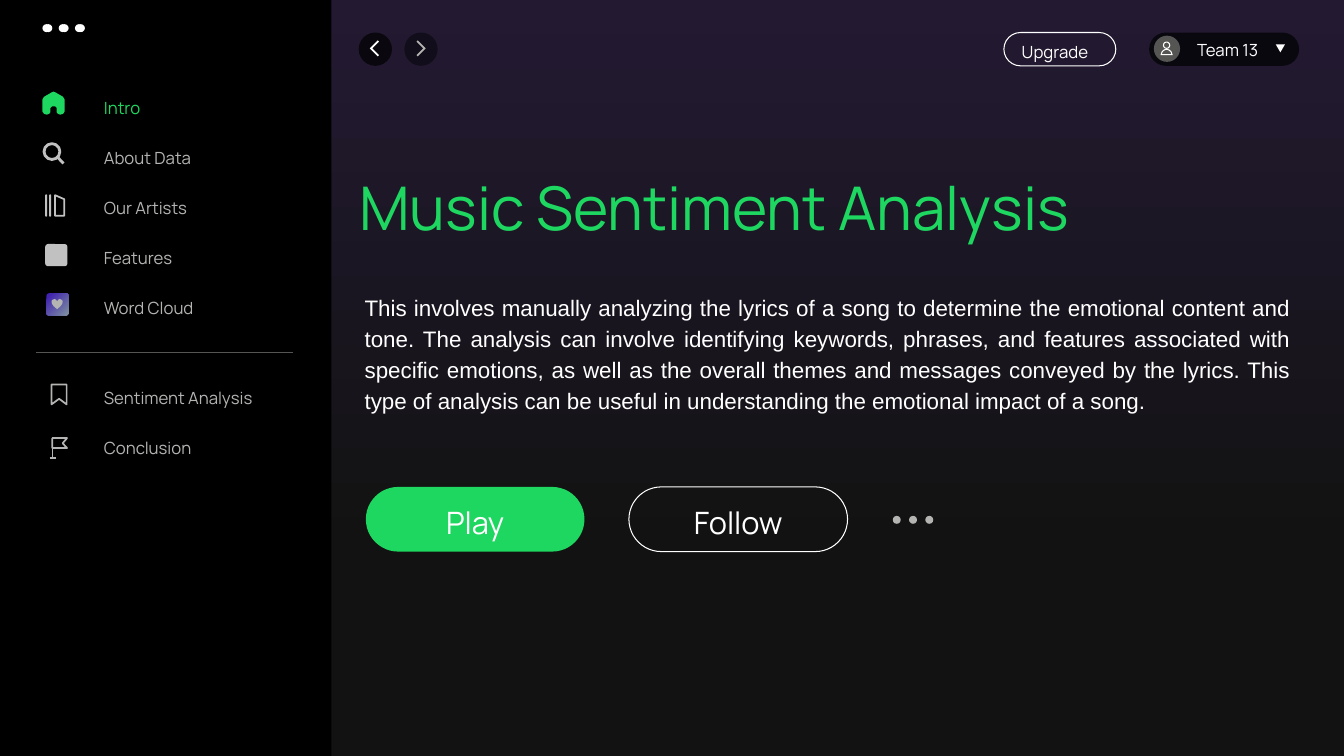
import dataclasses

import lxml.etree
import pptx
import pptx.dml.color
import pptx.enum.shapes
import pptx.enum.text
import pptx.oxml.ns
import pptx.util

Cm = pptx.util.Cm
SHAPE = pptx.enum.shapes.MSO_SHAPE
ALIGN = pptx.enum.text.PP_ALIGN


@dataclasses.dataclass(frozen=True)
class Theme:
    heading_font: str = "Manrope"
    body_font: str = "Arial"
    label_size: int = 12
    body_size: int = 16
    button_size: int = 22
    title_size: int = 43
    hairline: float = 0.75
    icon_line: float = 1.25
    lens_line: float = 2
    white: str = "FFFFFF"
    black: str = "000000"
    green: str = "1ED760"
    muted: str = "B4B5B2"
    icon: str = "C1C1C1"
    grey: str = "555554"
    back_button: str = "0A070E"
    next_button: str = "120D1A"
    team_pill: str = "0A080F"
    backdrop: tuple = ((0, "231A32"), (0.73, "121212"))
    cover: tuple = ((0.11, "4224B0"), (1, "7F93A0"))


def rgb(value):
    return pptx.dml.color.RGBColor.from_string(value)


def set_gradient(fill, stops, angle):
    fill.gradient()
    fill.gradient_angle = angle
    for stop, (position, color) in zip(fill.gradient_stops, stops):
        stop.position = position
        stop.color.rgb = rgb(color)


def write_text(tf, text, *, font, size, color, align=ALIGN.LEFT, spacing=None):
    p = tf.paragraphs[0]
    p.alignment = align
    if spacing:
        p.line_spacing = spacing
    r = p.add_run()
    r.text = text
    r.font.name = font
    r.font.size = pptx.util.Pt(size)
    r.font.color.rgb = rgb(color)


class Painter:
    def __init__(self, s, theme):
        self.s = s
        self.theme = theme

    def paint(self, sp, fill, line, width):
        sp.shadow.inherit = False
        if fill:
            sp.fill.solid()
            sp.fill.fore_color.rgb = rgb(fill)
        else:
            sp.fill.background()
        if line:
            sp.line.color.rgb = rgb(line)
            sp.line.width = pptx.util.Pt(width or self.theme.hairline)
        else:
            sp.line.fill.background()
        return sp

    def shape(self, kind, x, y, w, h, fill=None, line=None, width=None, adj=None):
        sp = self.s.shapes.add_shape(kind, Cm(x), Cm(y), Cm(w), Cm(h))
        if adj is not None:
            sp.adjustments[0] = adj
        return self.paint(sp, fill, line, width)

    def circle(self, x, y, size, **style):
        return self.shape(SHAPE.OVAL, x, y, size, size, **style)

    def pill(self, x, y, w, h, **style):
        return self.shape(SHAPE.ROUNDED_RECTANGLE, x, y, w, h, adj=0.5, **style)

    def tile(self, x, y, fill):
        return self.shape(SHAPE.ROUNDED_RECTANGLE, x, y, 0.56, 0.56, fill=fill, adj=0.13)

    def outline(self, x, y, points, fill=None, line=None, width=None):
        fb = self.s.shapes.build_freeform(*points[0], scale=Cm(1) / 100)
        fb.add_line_segments(points[1:], close=True)
        return self.paint(fb.convert_to_shape(Cm(x), Cm(y)), fill, line, width)

    def line(self, x1, y1, x2, y2, color, width):
        c = self.s.shapes.add_connector(
            pptx.enum.shapes.MSO_CONNECTOR.STRAIGHT, Cm(x1), Cm(y1), Cm(x2), Cm(y2))
        c.line.color.rgb = rgb(color)
        c.line.width = pptx.util.Pt(width)
        lxml.etree.SubElement(c._element.spPr, pptx.oxml.ns.qn("a:effectLst"))

    def text(self, text, x, y, w, h, **style):
        tf = self.s.shapes.add_textbox(Cm(x), Cm(y), Cm(w), Cm(h)).text_frame
        tf.word_wrap = True
        tf.auto_size = pptx.enum.text.MSO_AUTO_SIZE.SHAPE_TO_FIT_TEXT
        write_text(tf, text, **{"font": self.theme.heading_font, **style})

    def label(self, text, x, y, w, color):
        self.text(text, x, y, w, 0.76, size=self.theme.label_size, color=color)

    def dots(self, x, y, color):
        for i in range(3):
            self.circle(x + 0.41 * i, y, 0.2, fill=color)


def draw_sidebar(d):
    t = d.theme
    d.shape(SHAPE.RECTANGLE, 0, 0, 8.35, 19.05, fill=t.black)
    for x in (1.12, 1.07):
        d.dots(x, 0.61, t.white)
    groups = (
        (2.34, (("Intro", 2.54), ("About Data", 3.61), ("Our Artists", 2.97),
                ("Features", 2.74), ("Word Cloud", 5.97))),
        (9.65, (("Sentiment Analysis", 4.75), ("Conclusion", 3.61))),
    )
    for top, entries in groups:
        for i, (name, w) in enumerate(entries):
            color = t.green if name == "Intro" else t.muted
            d.label(name, 2.37, top + 1.26 * i, w, color)
    d.line(0.91, 8.89, 7.39, 8.89, t.grey, t.hairline)


def draw_sidebar_icons(d):
    t = d.theme
    half_house = [(28, 0), (33, 2), (52, 13), (56, 20), (56, 50), (52, 56), (45, 58),
                  (39, 56), (36, 52), (36, 41), (32, 37)]
    d.outline(1.07, 2.31, half_house + [(56 - x, y) for x, y in half_house[:0:-1]], fill=t.green)
    d.circle(1.11, 3.62, 0.4, line=t.icon, width=t.lens_line)
    d.line(1.46, 3.97, 1.6, 4.12, t.icon, t.lens_line)
    for x in (1.14, 1.24):
        d.pill(x, 4.9, 0.05, 0.56, fill=t.icon)
    d.outline(1.39, 4.92, [(0, 0), (23, 10), (23, 52), (0, 52)], line=t.icon, width=t.icon_line)
    d.tile(1.14, 6.15, t.icon)
    cover = d.tile(1.17, 7.39, t.icon)
    set_gradient(cover.fill, t.cover, 315)
    d.shape(SHAPE.HEART, 1.3, 7.53, 0.28, 0.26, fill=t.muted)
    bookmark = [(0, 0), (38, 0), (38, 50), (19, 36), (0, 50)]
    d.outline(1.3, 9.69, bookmark, line=t.muted, width=t.icon_line)
    flag = [(0, 0), (37, 0), (26, 13), (37, 25), (0, 25)]
    d.outline(1.32, 11.04, flag, line=t.muted, width=t.icon_line)
    d.line(1.32, 11.02, 1.32, 11.54, t.muted, t.icon_line)
    d.line(1.25, 11.54, 1.4, 11.54, t.muted, t.icon_line)


def draw_top_bar(d):
    t = d.theme
    back = [(20, 40), (0, 20), (20, 0), (23, 3), (6, 20), (23, 37)]
    forward = [(23 - x, y) for x, y in back]
    for x, chevron_x, chevron, fill, color in (
            (9.04, 9.32, back, t.back_button, t.white),
            (10.19, 10.5, forward, t.next_button, t.muted)):
        d.circle(x, 0.82, 0.84, fill=fill)
        d.outline(chevron_x, 1.02, chevron, fill=color)
    d.pill(25.3, 0.82, 2.82, 0.84, line=t.white)
    d.label("Upgrade", 25.5, 0.92, 2.39, t.white)
    d.pill(28.96, 0.82, 3.78, 0.84, fill=t.team_pill)
    d.label("Team 13", 29.92, 0.87, 2.52, t.white)
    d.circle(29.08, 0.9, 0.66, fill=t.grey)
    shoulders = [(0, 14), (3, 6), (8, 2), (14, 0), (20, 2), (25, 6), (28, 14)]
    d.outline(29.26, 1.24, shoulders, line=t.white, width=t.hairline)
    d.circle(29.32, 1.06, 0.16, fill=t.grey, line=t.white)
    arrow = d.shape(SHAPE.ISOSCELES_TRIANGLE, 32.18, 1.07, 0.23, 0.2, fill=t.white)
    arrow.rotation = 60


def draw_main(d):
    t = d.theme
    d.text("Music Sentiment Analysis", 8.81, 4.17, 24.08, 2.13, size=t.title_size, color=t.green)
    d.text("This involves manually analyzing the lyrics of a song to determine the emotional "
           "content and tone. The analysis can involve identifying keywords, phrases, and "
           "features associated with specific emotions, as well as the overall themes and "
           "messages conveyed by the lyrics. This type of analysis can be useful in "
           "understanding the emotional impact of a song.",
           8.94, 7.19, 23.83, 4.88, font=t.body_font, size=t.body_size, color=t.white,
           align=ALIGN.JUSTIFY, spacing=1.15)
    for name, x, w, style in (("Play", 9.22, 2.16, {"fill": t.green}),
                              ("Follow", 15.85, 2.97, {"line": t.white})):
        d.pill(x, 12.27, 5.51, 1.63, **style)
        d.text(name, x + (5.51 - w) / 2, 12.57, w, 1.19, size=t.button_size, color=t.white,
               align=ALIGN.CENTER)
    d.dots(22.5, 13, t.muted)


def main():
    prs = pptx.Presentation()
    prs.slide_width, prs.slide_height = Cm(33.87), Cm(19.05)
    s = prs.slides.add_slide(prs.slide_layouts[6])
    d = Painter(s, Theme())
    set_gradient(s.background.fill, d.theme.backdrop, 270)
    draw_sidebar(d)
    draw_sidebar_icons(d)
    draw_top_bar(d)
    draw_main(d)
    prs.save("out.pptx")


if __name__ == "__main__":
    main()
